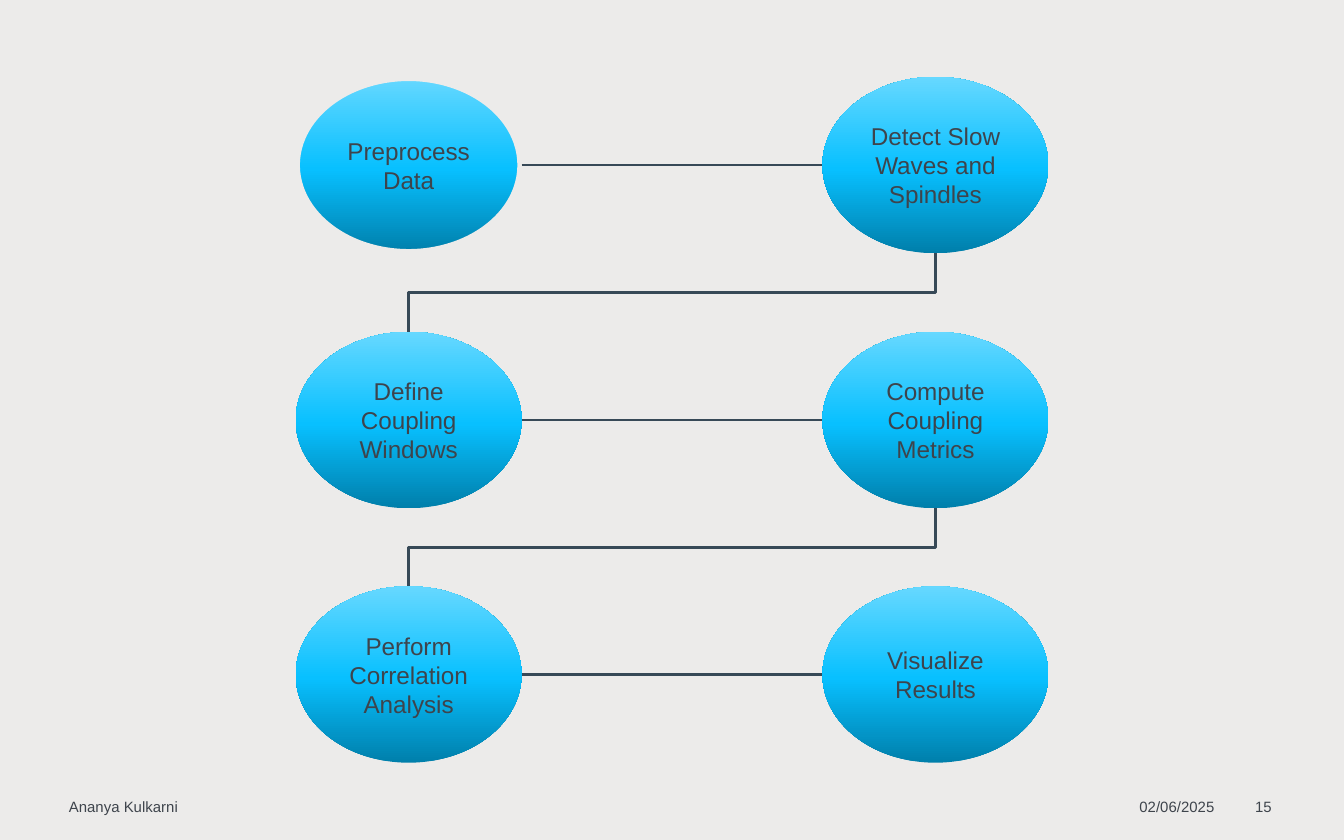
"""Build a slide with a six-step flow chart for coupling analysis."""
from copy import deepcopy

from lxml import etree
from pptx import Presentation
from pptx.dml.color import RGBColor
from pptx.enum.shapes import MSO_CONNECTOR, MSO_SHAPE
from pptx.enum.text import MSO_ANCHOR, PP_ALIGN
from pptx.oxml.ns import qn
from pptx.util import Pt

OVAL = MSO_SHAPE.FLOWCHART_CONNECTOR
LINE, ELBOW = MSO_CONNECTOR.STRAIGHT, MSO_CONNECTOR.ELBOW
MIDDLE, TOP = MSO_ANCHOR.MIDDLE, MSO_ANCHOR.TOP
LEFT, CENTER = PP_ALIGN.LEFT, PP_ALIGN.CENTER

COLORS = {"back": "ECEBEA", "text": "3E444C", "line": "374957",
          "deep": "007FAB", "mid": "08C0FF", "pale": "66D8FF"}
SHADES = [(0, "deep"), (0.48, "mid"), (1, "pale")]

WIDE, HIGH = 121, 94.5
COLS = [158.4, 440.6]
ROWS = [41.2, 177.8, 314.1]
STEPS = [["Preprocess Data", "Detect Slow Waves and Spindles"],
         ["Define Coupling Windows", "Compute Coupling Metrics"],
         ["Perform Correlation Analysis", "Visualize Results"]]
FOOTER = [("Ananya Kulkarni", 36.9, 477), ("02/06/2025", 610.4, 43),
          ("15", 672.4, 17)]


def color(name):
    return RGBColor.from_string(COLORS[name])


def write(shape, text, size=13, align=CENTER, anchor=MIDDLE, inset=7.2):
    frame = shape.text_frame
    frame.word_wrap = True
    frame.vertical_anchor = anchor
    frame.margin_left = frame.margin_right = Pt(inset)
    frame.margin_top = frame.margin_bottom = Pt(inset)
    para = frame.paragraphs[0]
    para.alignment = align
    run = para.add_run()
    run.text = text
    run.font.name = "Arial"
    run.font.size = Pt(size)
    run.font.color.rgb = color("text")


class Canvas:
    """Hold the line style and the current slide."""

    def __init__(self, slide, weight=1.5):
        self.slide = slide
        self.weight = weight
        slide.background.fill.solid()
        slide.background.fill.fore_color.rgb = color("back")

    def label(self, text, x, y, w, h):
        box = self.slide.shapes.add_textbox(Pt(x), Pt(y), Pt(w), Pt(h))
        write(box, text, size=8, align=LEFT, anchor=TOP, inset=0)

    def step(self, text, x, y, rim=False):
        oval = self.slide.shapes.add_shape(OVAL, Pt(x), Pt(y), Pt(WIDE), Pt(HIGH))
        oval.shadow.inherit = False
        oval.fill.gradient()
        oval.fill.gradient_angle = 90
        stops = oval.element.spPr.find(".//" + qn("a:gsLst"))
        stops.append(deepcopy(stops[-1]))
        for stop, (place, name) in zip(oval.fill.gradient_stops, SHADES):
            stop.position = place
            stop.color.rgb = color(name)
        if rim:
            oval.line.color.rgb = color("back")
            oval.line.width = Pt(4.5)
        else:
            oval.line.fill.background()
        write(oval, text)

    def link(self, x1, y1, x2, y2, kind=LINE):
        line = self.slide.shapes.add_connector(kind, Pt(x1), Pt(y1), Pt(x2), Pt(y2))
        line.line.color.rgb = color("line")
        line.line.width = Pt(self.weight)
        etree.SubElement(line.element.spPr, qn("a:effectLst"))
        return line

    def turn(self, x1, y1, x2, y2):
        x, y = (x1 + x2) / 2, (y1 + y2) / 2
        dx, dy = abs(x2 - x1) / 2, abs(y2 - y1) / 2
        line = self.link(x - dy, y - dx, x + dy, y + dx, ELBOW)
        line.element.spPr.find(qn("a:xfrm")).set("rot", "5400000")


def main():
    deck = Presentation()
    deck.slide_width, deck.slide_height = Pt(720), Pt(450)
    canvas = Canvas(deck.slides.add_slide(deck.slide_layouts[6]))

    for text, x, w in FOOTER:
        canvas.label(text, x, 427, w, 10)

    for y, names in zip(ROWS, STEPS):
        for x, text in zip(COLS, names):
            canvas.step(text, x, y, rim=text == STEPS[0][0])
        mid = y + HIGH / 2
        canvas.link(COLS[0] + WIDE, mid, COLS[1], mid)

    for y, below in zip(ROWS, ROWS[1:]):
        canvas.turn(COLS[1] + WIDE / 2, y + HIGH, COLS[0] + WIDE / 2, below)

    deck.save("out.pptx")


if __name__ == "__main__":
    main()
